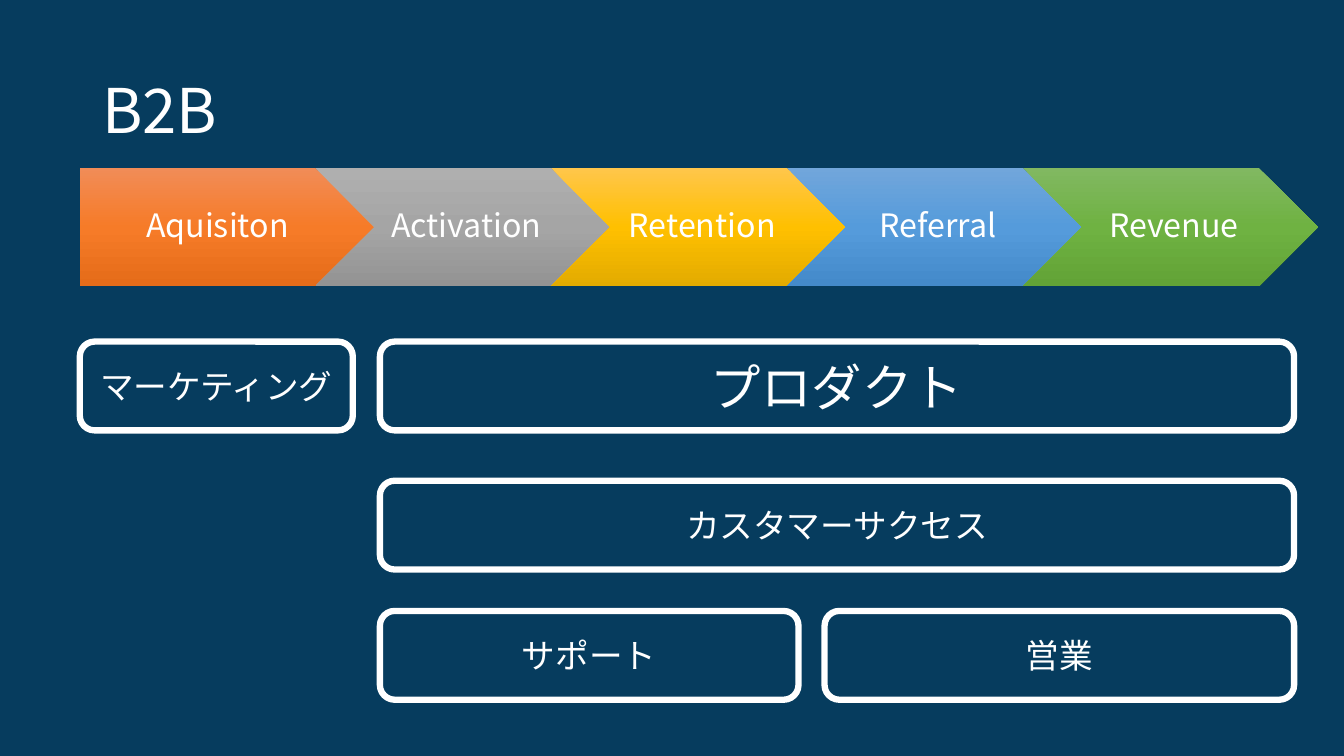
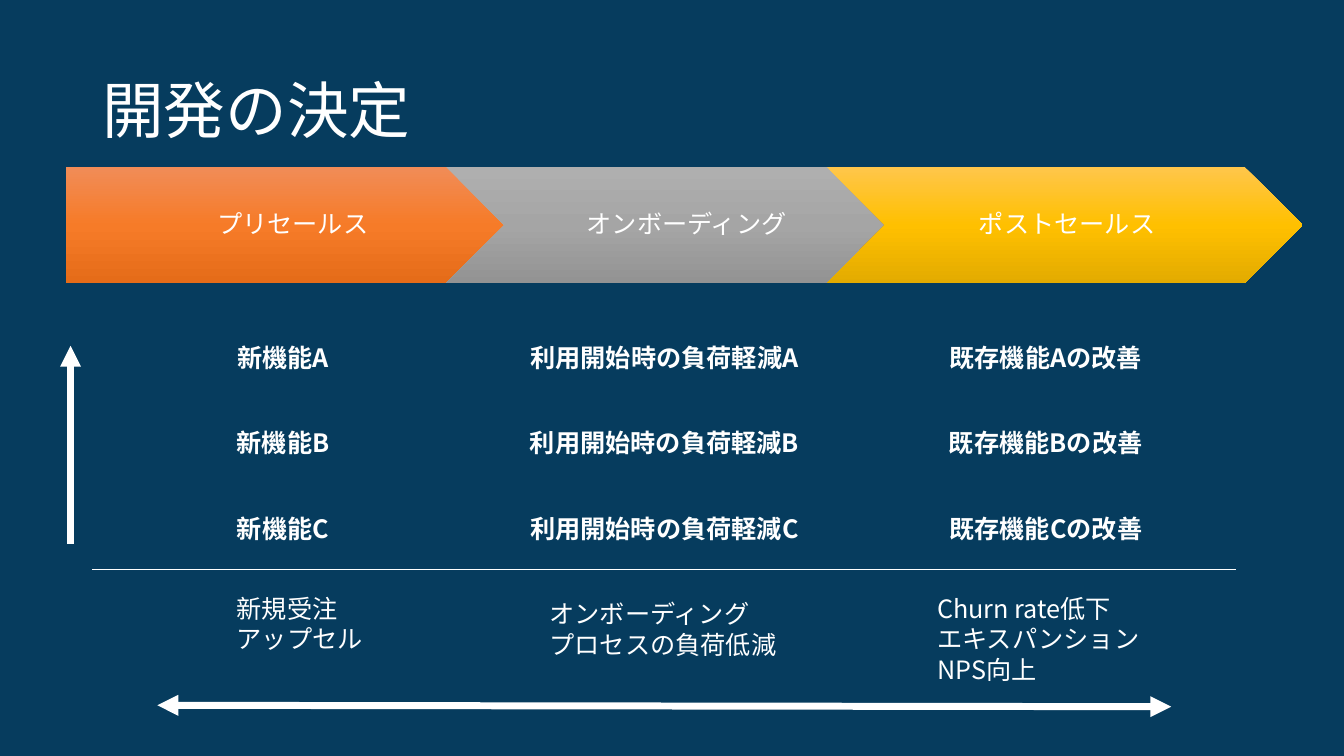
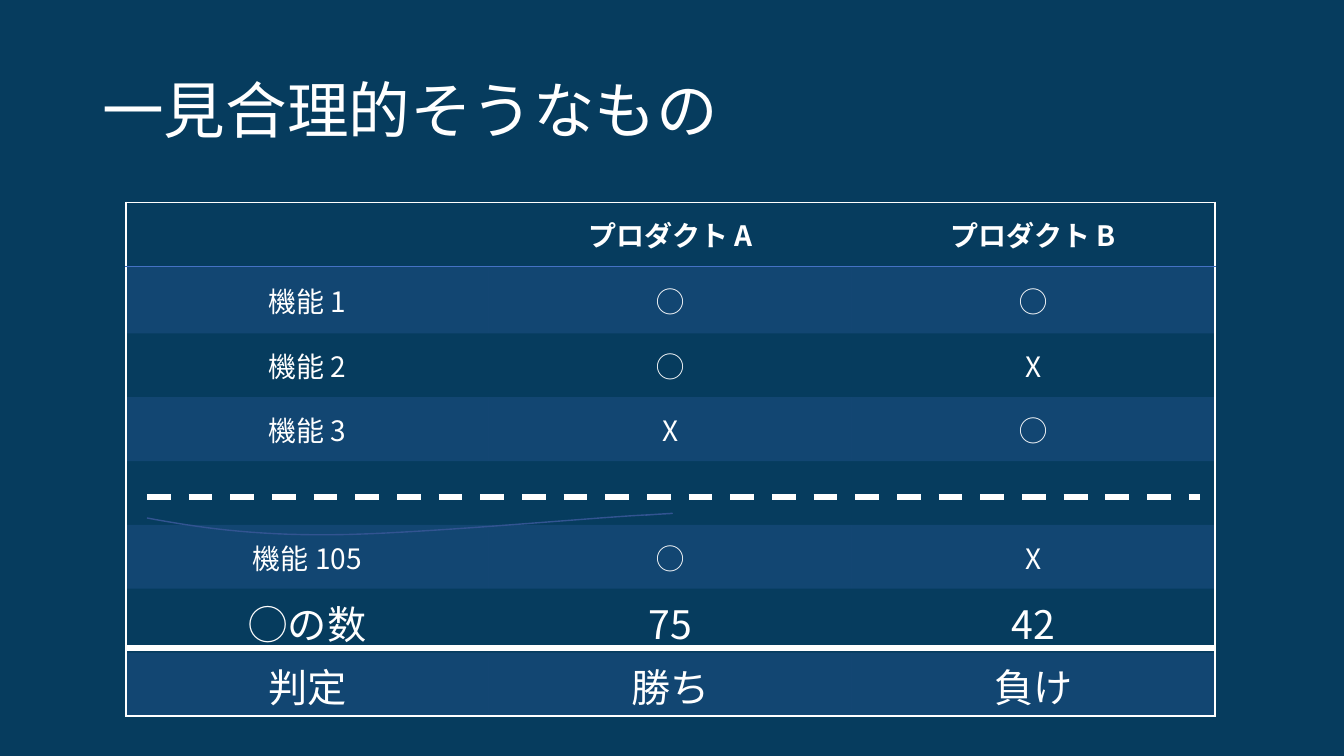
from copy import deepcopy
from dataclasses import dataclass

from lxml.etree import SubElement
from pptx import Presentation
from pptx.dml.color import RGBColor
from pptx.enum.dml import MSO_LINE
from pptx.enum.shapes import MSO_CONNECTOR, MSO_SHAPE
from pptx.enum.text import MSO_ANCHOR, MSO_AUTO_SIZE, PP_ALIGN
from pptx.oxml.ns import qn
from pptx.util import Pt


@dataclass(frozen=True)
class Theme:
    font: str = "Noto Sans CJK JP"
    background: str = "063C5E"
    white: str = "FFFFFF"
    blue: str = "4472C4"
    scribble: str = "325491"
    no_table_style: str = "{2D5ABB26-0587-4C30-8999-92F81FD0307C}"
    gradients: tuple = (
        ("F18C57", "F67B28", "E56C19"),
        ("AFAFAF", "A5A5A5", "939393"),
        ("FFC64B", "FFC000", "E3AB00"),
        ("71A6DB", "559BDB", "448ACA"),
        ("81B861", "6FB242", "62A336"),
    )
    title: int = 44
    large: int = 36
    result: int = 28
    box: int = 24
    stage: int = 23
    cell: int = 20
    body: int = 18


THEME = Theme()


def rgb(color):
    return RGBColor.from_string(color)


def bezier(a, b, c, d, steps=16):
    for i in range(1, steps + 1):
        t = i / steps
        u = 1 - t
        yield tuple(
            u**3 * p + 3 * u * u * t * q + 3 * u * t * t * r + t**3 * s
            for p, q, r, s in zip(a, b, c, d)
        )


class Deck:
    def __init__(self, theme):
        self.theme = theme
        self.prs = Presentation()
        self.prs.slide_width, self.prs.slide_height = Pt(960), Pt(540)
        fill = self.prs.slide_master.background.fill
        fill.solid()
        fill.fore_color.rgb = rgb(theme.background)

    def slide(self, title):
        self.s = self.prs.slides.add_slide(self.prs.slide_layouts[6])
        sp = self.s.shapes.add_textbox(Pt(66), Pt(28.8), Pt(828), Pt(104.4))
        tf = sp.text_frame
        tf.word_wrap = True
        self.set_text(tf, title, self.theme.title, PP_ALIGN.LEFT, spacing=0.9)

    def set_text(self, tf, text, size, align=PP_ALIGN.CENTER,
                 anchor=MSO_ANCHOR.MIDDLE, bold=False, spacing=None):
        tf.text = text
        tf.vertical_anchor = anchor
        for p in tf.paragraphs:
            p.alignment = align
            p.line_spacing = spacing
            for r in p.runs:
                r.font.size = Pt(size)
                r.font.bold = bold
                r.font.color.rgb = rgb(self.theme.white)
                r.font.name = self.theme.font
                SubElement(r.font._element, qn("a:ea"), typeface=self.theme.font)

    def stages(self, x, y, w, h, labels, size):
        for i, (label, colors) in enumerate(zip(labels, self.theme.gradients)):
            kind = MSO_SHAPE.CHEVRON if i else MSO_SHAPE.PENTAGON
            sp = self.s.shapes.add_shape(
                kind, Pt(x + i * 0.8 * w), Pt(y), Pt(w), Pt(h))
            sp.shadow.inherit = False
            sp.line.fill.background()
            self.gradient(sp, colors)
            tf = sp.text_frame
            tf.margin_left = Pt(size * (0.3 if i else 0.4))
            tf.margin_right = Pt(2)
            self.set_text(tf, label, size, spacing=0.9)

    def gradient(self, sp, colors):
        sp.fill.gradient()
        sp.fill.gradient_angle = 270
        stops = sp._element.spPr.find(".//" + qn("a:gsLst"))
        stops.append(deepcopy(stops[0]))
        for stop, color, position in zip(sp.fill.gradient_stops, colors, (0, 0.5, 1)):
            stop.color.rgb = rgb(color)
            stop.position = position

    def box(self, x, y, w, text, size):
        sp = self.s.shapes.add_shape(
            MSO_SHAPE.ROUNDED_RECTANGLE, Pt(x), Pt(y), Pt(w), Pt(63.4))
        sp.shadow.inherit = False
        sp.fill.background()
        sp.line.color.rgb = rgb(self.theme.white)
        sp.line.width = Pt(4.5)
        self.set_text(sp.text_frame, text, size)

    def note(self, x, y, w, h, text):
        sp = self.s.shapes.add_textbox(Pt(x), Pt(y), Pt(w), Pt(h))
        tf = sp.text_frame
        tf.word_wrap = False
        tf.auto_size = MSO_AUTO_SIZE.SHAPE_TO_FIT_TEXT
        self.set_text(tf, text, self.theme.body, PP_ALIGN.LEFT, MSO_ANCHOR.TOP)

    def line(self, x1, y1, x2, y2, width, dash=None, ends=()):
        cn = self.s.shapes.add_connector(
            MSO_CONNECTOR.STRAIGHT, Pt(x1), Pt(y1), Pt(x2), Pt(y2))
        cn.line.color.rgb = rgb(self.theme.white)
        cn.line.width = Pt(width)
        if dash:
            cn.line.dash_style = dash
        spPr = cn._element.spPr
        for end in ends:
            SubElement(spPr.find(qn("a:ln")), qn(f"a:{end}"), type="triangle")
        SubElement(spPr, qn("a:effectLst"))

    def curve(self, start, segments, color):
        points = [start]
        for b, c, d in segments:
            points += bezier(points[-1], b, c, d)
        (x, y), *rest = [(Pt(px), Pt(py)) for px, py in points]
        builder = self.s.shapes.build_freeform(x, y)
        builder.add_line_segments(rest, close=False)
        sp = builder.convert_to_shape()
        sp.shadow.inherit = False
        sp.fill.background()
        sp.line.color.rgb = rgb(color)
        sp.line.width = Pt(1)

    def table(self, x, y, col_width, heights, rows, sizes, bold_rows, banded_rows=()):
        cols = len(rows[0])
        table = self.s.shapes.add_table(
            len(rows), cols, Pt(x), Pt(y), Pt(col_width * cols), Pt(sum(heights))).table
        table.first_row = table.horz_banding = False
        table._tbl.tblPr.find(qn("a:tableStyleId")).text = self.theme.no_table_style
        for column in table.columns:
            column.width = Pt(col_width)
        for i, row in enumerate(rows):
            table.rows[i].height = Pt(heights[i])
            for j, text in enumerate(row):
                cell = table.cell(i, j)
                if text:
                    self.set_text(cell.text_frame, text, sizes[i], bold=i in bold_rows)
                cell.vertical_anchor = MSO_ANCHOR.MIDDLE
                if i in banded_rows:
                    cell.fill.solid()
                    cell.fill.fore_color.rgb = rgb(self.theme.blue)
                    tint = cell._tc.tcPr.find(".//" + qn("a:srgbClr"))
                    SubElement(tint, qn("a:alpha"), val="20000")
                else:
                    cell.fill.background()
        return table

    def borders(self, cell, sides):
        tcPr = cell._tc.tcPr
        present = [side for side in "LRTB" if side in sides]
        for i, side in enumerate(present):
            color, width = sides[side]
            ln = SubElement(tcPr, qn(f"a:ln{side}"), w=str(int(Pt(width))))
            fill = SubElement(ln, qn("a:solidFill"))
            SubElement(fill, qn("a:srgbClr"), val=color)
            tcPr.insert(i, ln)


def b2b_slide(deck):
    t = deck.theme
    deck.slide("B2B")
    deck.stages(57, 120.2, 210.6, 84.2,
                ("Aquisiton", "Activation", "Retention", "Referral", "Revenue"), t.stage)
    left, right, top = 271.4, 924.4, 244
    deck.box(left, top, right - left, "プロダクト", t.large)
    deck.box(57, top, 195, "マーケティング", t.box)
    deck.box(left, 343.4, right - left, "カスタマーサクセス", t.box)
    deck.box(589, 436.4, right - 589, "営業", t.box)
    deck.box(left, 436.4, 299, "サポート", t.box)


def decision_slide(deck):
    t = deck.theme
    deck.slide("開発の決定")
    deck.stages(47, 119.4, 339.8, 82.8,
                ("プリセールス", "オンボーディング", "ポストセールス"), t.body)
    rows = [(f"新機能{x}", f"利用開始時の負荷軽減{x}", f"既存機能{x}の改善") for x in "ABC"]
    table = deck.table(66, 224, 272.4, [61] * 3, rows, [t.body] * 3, range(3))
    for cell in table.rows[2].cells:
        deck.borders(cell, {"B": (t.white, 1)})
    deck.note(162, 420.4, 105, 51, "新規受注\nアップセル")
    deck.note(662.4, 420.4, 160, 73, "Churn rate低下\nエキスパンション\nNPS向上")
    deck.note(385.4, 424, 178, 51, "オンボーディング\nプロセスの負荷低減")
    deck.line(836.6, 504.8, 112.4, 503.8, 5, ends=("headEnd", "tailEnd"))
    deck.line(50.4, 388.4, 50.4, 247, 5, ends=("tailEnd",))


def comparison_slide(deck):
    t = deck.theme
    deck.slide("一見合理的そうなもの")
    rows = [
        ("", "プロダクト A", "プロダクト B"),
        ("機能 1", "◯", "◯"),
        ("機能 2", "◯", "X"),
        ("機能 3", "X", "◯"),
        ("", "", ""),
        ("機能 105", "◯", "X"),
        ("◯の数", "75", "42"),
        ("判定", "勝ち", "負け"),
    ]
    left, width = 90, 777.6
    heights = [45.6, 48] + [45.6] * 6
    sizes = [t.cell] * 6 + [t.result] * 2
    table = deck.table(left, 144.6, width / 3, heights, rows, sizes, (0,), (1, 3, 5, 7))
    frame = (t.white, 1.5)
    last_row, last_col = len(rows) - 1, len(rows[0]) - 1
    for i in range(len(rows)):
        for j in range(len(rows[0])):
            sides = {}
            if i == 0:
                sides.update(T=frame, B=(t.blue, 1))
            if i == last_row:
                sides["B"] = frame
            if j == 0:
                sides["L"] = frame
            if j == last_col:
                sides["R"] = frame
            deck.borders(table.cell(i, j), sides)
    deck.curve((105, 370), (
        ((141, 376.6), (178, 382.4), (237, 382)),
        ((295, 381.6), (420.4, 370), (458, 368)),
        ((495.4, 366), (478, 366.6), (461, 368)),
    ), t.scribble)
    deck.line(105, 355, 857, 355, 4.25, dash=MSO_LINE.DASH)
    deck.line(left, 463, left + width, 463, 4.25)


def main():
    deck = Deck(THEME)
    b2b_slide(deck)
    decision_slide(deck)
    comparison_slide(deck)
    deck.prs.save("out.pptx")


if __name__ == "__main__":
    main()
